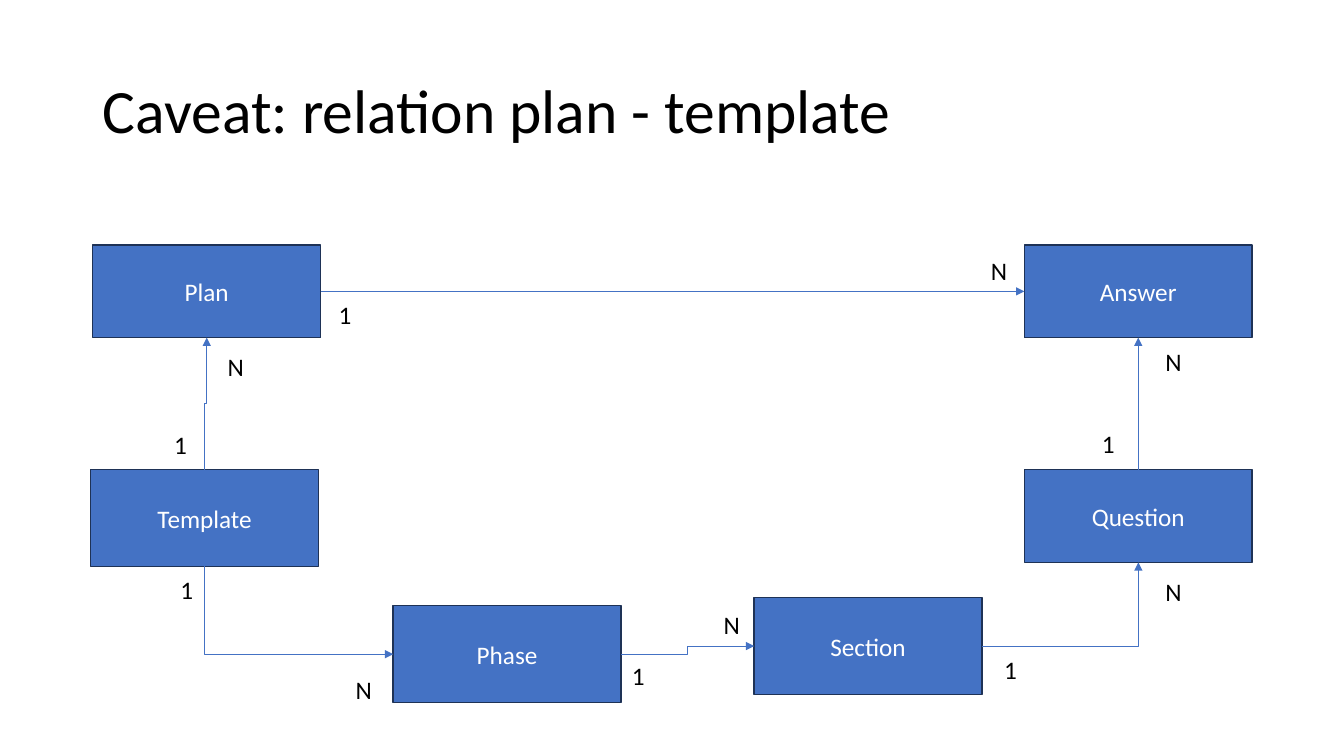
from lxml.etree import SubElement
from pptx import Presentation
from pptx.dml.color import RGBColor
from pptx.enum.shapes import MSO_CONNECTOR, MSO_SHAPE
from pptx.enum.text import MSO_ANCHOR, MSO_AUTO_SIZE, PP_ALIGN
from pptx.oxml.ns import qn
from pptx.util import Pt

PX = 9144  # 100 px to the inch
TOP, LEFT, BOTTOM, RIGHT = range(4)  # connection sites of a box


def paint(color):
    return RGBColor.from_string(color)


def write(shape, text, size=18, color="000000", align=PP_ALIGN.LEFT,
          anchor=MSO_ANCHOR.TOP, fit=MSO_AUTO_SIZE.NONE, space=None):
    frame = shape.text_frame
    frame.word_wrap = True
    frame.auto_size = fit
    frame.vertical_anchor = anchor
    para = frame.paragraphs[0]
    para.alignment = align
    para.line_spacing = space
    run = para.add_run()
    run.text = text
    run.font.name = "Calibri"
    run.font.size = Pt(size)
    run.font.color.rgb = paint(color)


deck = Presentation()
deck.slide_width, deck.slide_height = 1333 * PX, 750 * PX
slide = deck.slides.add_slide(deck.slide_layouts[5])
shapes = slide.shapes

# Title
title = shapes.title
title.left, title.top, title.width, title.height = (
    n * PX for n in (92, 40, 1150, 145))
write(title, "Caveat: relation plan - template", size=44,
      anchor=MSO_ANCHOR.MIDDLE, space=0.9)

# Entity boxes
boxes = {}
for name, x, y, high in [
    ("Plan", 92, 243, 92),
    ("Answer", 1016, 243, 92),
    ("Template", 90, 466, 96),
    ("Question", 1016, 466, 92),
    ("Phase", 390, 601, 96),
    ("Section", 748, 593, 96),
]:
    box = shapes.add_shape(MSO_SHAPE.FLOWCHART_PROCESS,
                           x * PX, y * PX, 226 * PX, high * PX)
    box.shadow.inherit = False
    box.fill.solid()
    box.fill.fore_color.rgb = paint("4472C4")
    box.line.color.rgb = paint("1E3256")
    box.line.width = Pt(1)
    write(box, name, color="FFFFFF", align=PP_ALIGN.CENTER,
          anchor=MSO_ANCHOR.MIDDLE)
    boxes[name] = box

# Relations between the boxes
for start, out, end, into in [
    ("Template", TOP, "Plan", BOTTOM),
    ("Plan", RIGHT, "Answer", LEFT),
    ("Question", TOP, "Answer", BOTTOM),
    ("Template", BOTTOM, "Phase", LEFT),
    ("Phase", RIGHT, "Section", LEFT),
    ("Section", RIGHT, "Question", BOTTOM),
]:
    link = shapes.add_connector(MSO_CONNECTOR.ELBOW, 0, 0, 0, 0)
    link.begin_connect(boxes[start], out)
    link.end_connect(boxes[end], into)
    props = link._element.spPr
    if out in (TOP, BOTTOM):
        # An elbow leaves sideways, so one that leaves upright is turned 90°
        midx = (link.begin_x + link.end_x) // 2
        midy = (link.begin_y + link.end_y) // 2
        wide = link.end_y - link.begin_y
        high = link.begin_x - link.end_x
        link.begin_x, link.end_x = midx - wide // 2, midx + wide // 2
        link.begin_y, link.end_y = midy - high // 2, midy + high // 2
        props.find(qn("a:xfrm")).set("rot", "5400000")
    if out % 2 != into % 2:
        props.find(qn("a:prstGeom")).set("prst", "bentConnector2")
    link.line.color.rgb = paint("4472C4")
    link.line.width = Pt(0.5)
    SubElement(props.find(qn("a:ln")), qn("a:tailEnd"), type="triangle")
    SubElement(props, qn("a:effectLst"))

# Cardinality labels
labels = {
    "1": [(326, 292), (163, 421), (1083, 420), (169, 565), (617, 650),
          (986, 644)],
    "N": [(216, 344), (973, 248), (1146, 339), (1146, 567), (708, 600),
          (343, 664)],
}
for mark, spots in labels.items():
    for x, y in spots:
        label = shapes.add_textbox(x * PX, y * PX, 36 * PX, 40 * PX)
        write(label, mark, fit=MSO_AUTO_SIZE.SHAPE_TO_FIT_TEXT)

deck.save("out.pptx")
